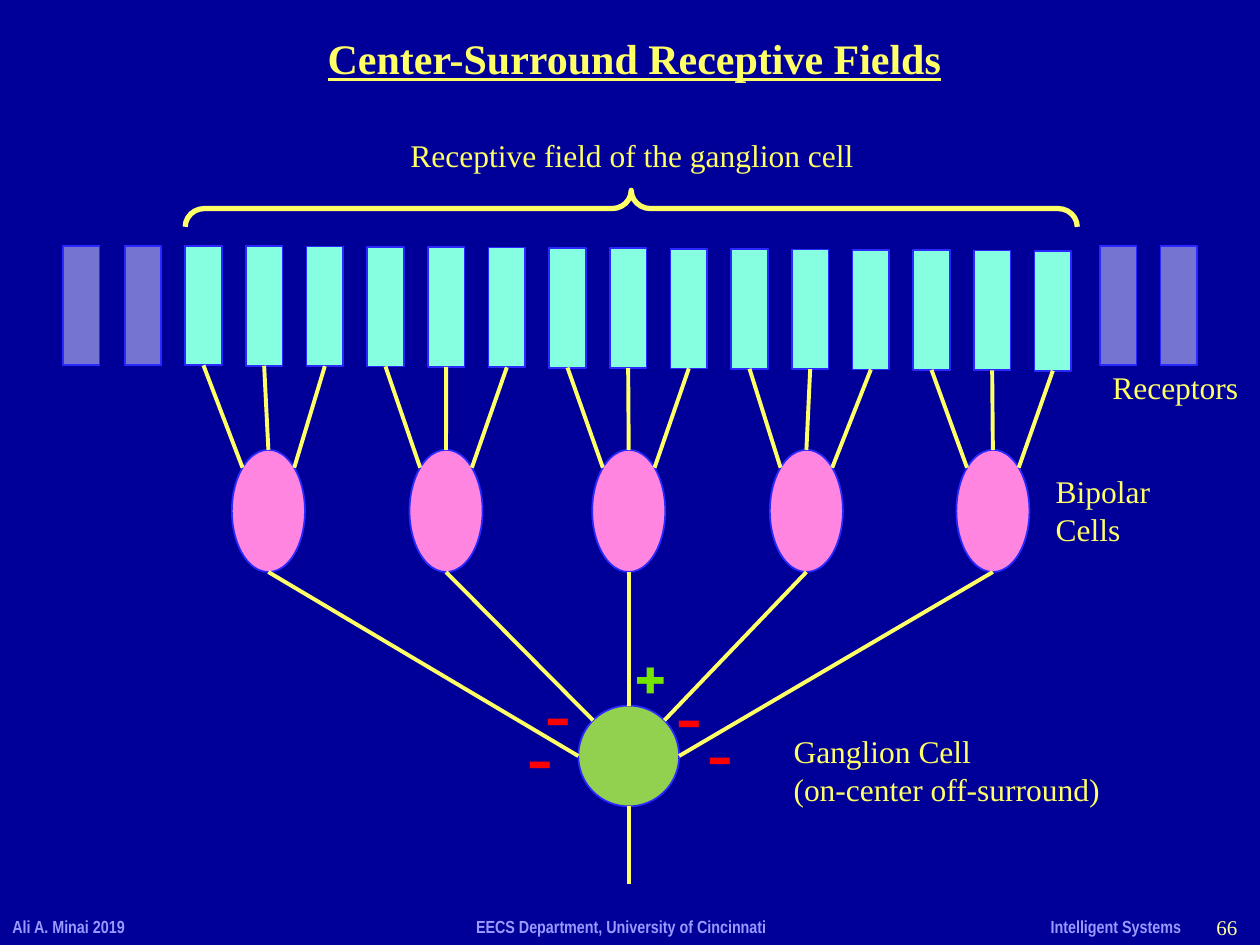
from pptx import Presentation
from pptx.dml.color import RGBColor
from pptx.enum import shapes, text
from pptx.oxml import xmlchemy
from pptx.oxml.ns import qn
from pptx.util import Inches, Pt
from lxml import etree

NAVY = RGBColor(0x00, 0x00, 0x99)
YELLOW = RGBColor(0xFF, 0xFF, 0x66)
PALE = RGBColor(0xFF, 0xFF, 0xA0)
LILAC = RGBColor(0x99, 0x99, 0xFF)
BLUE = RGBColor(0x29, 0x29, 0xFF)
AQUA = RGBColor(0x85, 0xFF, 0xE0)
SLATE = RGBColor(0x75, 0x75, 0xD1)
PINK = RGBColor(0xFF, 0x85, 0xE0)
GREEN = RGBColor(0x92, 0xD0, 0x50)
LIME = RGBColor(0x73, 0xE5, 0x00)
RED = RGBColor(0xFF, 0x00, 0x00)
SERIF = "Times New Roman"
DIAGONAL = 0.5 ** 0.5


def write(sp, content, size=18, font=SERIF, color=YELLOW, bold=False,
          underline=False, align=text.PP_ALIGN.LEFT,
          anchor=text.MSO_ANCHOR.TOP, wrap=False):
    tf = sp.text_frame
    tf.word_wrap = wrap
    tf.auto_size = text.MSO_AUTO_SIZE.NONE
    tf.vertical_anchor = anchor
    tf.text = content
    for p in tf.paragraphs:
        p.alignment = align
        for r in p.runs:
            r.font.name, r.font.size = font, Pt(size)
            r.font.bold, r.font.underline = bold, underline
            r.font.color.rgb = color


def label(s, box, content, **fmt):
    write(s.shapes.add_textbox(*map(Inches, box)), content, **fmt)


def cell(s, kind, box, fill):
    sp = s.shapes.add_shape(kind, *map(Inches, box))
    sp.shadow.inherit = False
    sp.fill.solid()
    sp.fill.fore_color.rgb = fill
    sp.line.color.rgb, sp.line.width = BLUE, Pt(1)


def link(s, start, end):
    cx = s.shapes.add_connector(shapes.MSO_CONNECTOR.STRAIGHT,
                                *map(Inches, (*start, *end)))
    cx.line.color.rgb, cx.line.width = YELLOW, Pt(2.25)
    etree.SubElement(cx._element.spPr, qn("a:effectLst"))


def add_title(s, box):
    sp = s.shapes.title
    sp.left, sp.top, sp.width, sp.height = map(Inches, box)
    write(sp, "Center-Surround Receptive Fields", size=24, bold=True,
          underline=True)


def add_footer(s, top):
    for left, width, content in (
            (0, 1.1, "Ali A. Minai 2019"),
            (3.68, 2.52, "EECS Department, University of Cincinnati"),
            (8.24, 1.24, "Intelligent Systems")):
        label(s, (left, top, width, 0.27), content, size=10,
              font="Arial Narrow", color=LILAC, bold=True)
    label(s, (7.59, top - 0.06, 2.33, 0.4), "66", size=12, color=PALE,
          align=text.PP_ALIGN.RIGHT, anchor=text.MSO_ANCHOR.MIDDLE, wrap=True)


def add_field_brace(s, box):
    left, top, width, height = box
    sp = s.shapes.add_shape(
        shapes.MSO_SHAPE.RIGHT_BRACE,
        Inches(left + (width - height) / 2), Inches(top - (width - height) / 2),
        Inches(height), Inches(width))
    sp.rotation = 270
    sp.adjustments[0], sp.adjustments[1] = 0.524, 0.5
    sp.shadow.inherit = False
    sp.fill.background()
    sp.line.color.rgb, sp.line.width = YELLOW, Pt(3)
    label(s, (3.16, 1.03, 3.76, 0.4), "Receptive field of the ganglion cell")


def add_receptors(s, left, top, count=15, pitch=0.4815, drift=0.003):
    w, h = 0.29, 0.95
    for x in (0.5, 0.99, 8.73, 9.21):
        cell(s, shapes.MSO_SHAPE.RECTANGLE, (x, top, w, h), SLATE)
    outputs = []
    for i in range(count):
        x, y = left + i * pitch, top + i * drift
        cell(s, shapes.MSO_SHAPE.RECTANGLE, (x, y, w, h), AQUA)
        outputs.append((x + w / 2, y + h))
    label(s, (8.73, 2.87, 1.21, 0.4), "Receptors")
    return outputs


def add_bipolar_cells(s, centers, top, inputs):
    w, h = 0.58, 0.97
    side, side_top = w / 2 * DIAGONAL, top + h / 2 * (1 - DIAGONAL)
    for i, x in enumerate(centers):
        cell(s, shapes.MSO_SHAPE.OVAL, (x - w / 2, top, w, h), PINK)
        ends = (x - side, side_top), (x, top), (x + side, side_top)
        for start, end in zip(inputs[3 * i:3 * i + 3], ends):
            link(s, start, end)
    label(s, (8.28, 3.7, 0.96, 0.71), "Bipolar\nCells")
    return [(x, top + h) for x in centers]


def add_ganglion_cell(s, x, y, radius, inputs):
    cell(s, shapes.MSO_SHAPE.OVAL,
         (x - radius, y - radius, 2 * radius, 2 * radius), GREEN)
    d = radius * DIAGONAL
    ends = ((x - radius, y), (x - d, y - d), (x, y - radius),
            (x + d, y - d), (x + radius, y))
    for start, end in zip(inputs, ends):
        link(s, start, end)
    link(s, (x, y + radius), (x, 7.02))
    for left, top in ((4.09, 5.56), (4.23, 5.22), (5.27, 5.23), (5.52, 5.53)):
        label(s, (left, top, 0.41, 0.78), "-", size=44, color=RED, bold=True)
    label(s, (4.93, 5.07, 0.5, 0.6), "+", size=32, font="Montserrat",
          color=LIME, bold=True)
    label(s, (6.2, 5.76, 2.7, 0.71), "Ganglion Cell\n(on-center off-surround)")


def main():
    prs = Presentation()
    prs.slide_width, prs.slide_height = Inches(10), Inches(7.5)
    s = prs.slides.add_slide(prs.slide_layouts[5])
    s.background.fill.solid()
    s.background.fill.fore_color.rgb = NAVY
    add_title(s, (2.5, 0.21, 5.12, 0.5))
    add_footer(s, 7.22)
    add_field_brace(s, (1.47, 1.51, 7.08, 0.29))
    receptors = add_receptors(s, 1.47, 1.95)
    bipolars = add_bipolar_cells(s, (2.13, 3.54, 4.99, 6.4, 7.88), 3.57,
                                 receptors)
    add_ganglion_cell(s, 4.99, 6, 0.4, bipolars)
    prs.save("out.pptx")


if __name__ == "__main__":
    main()
